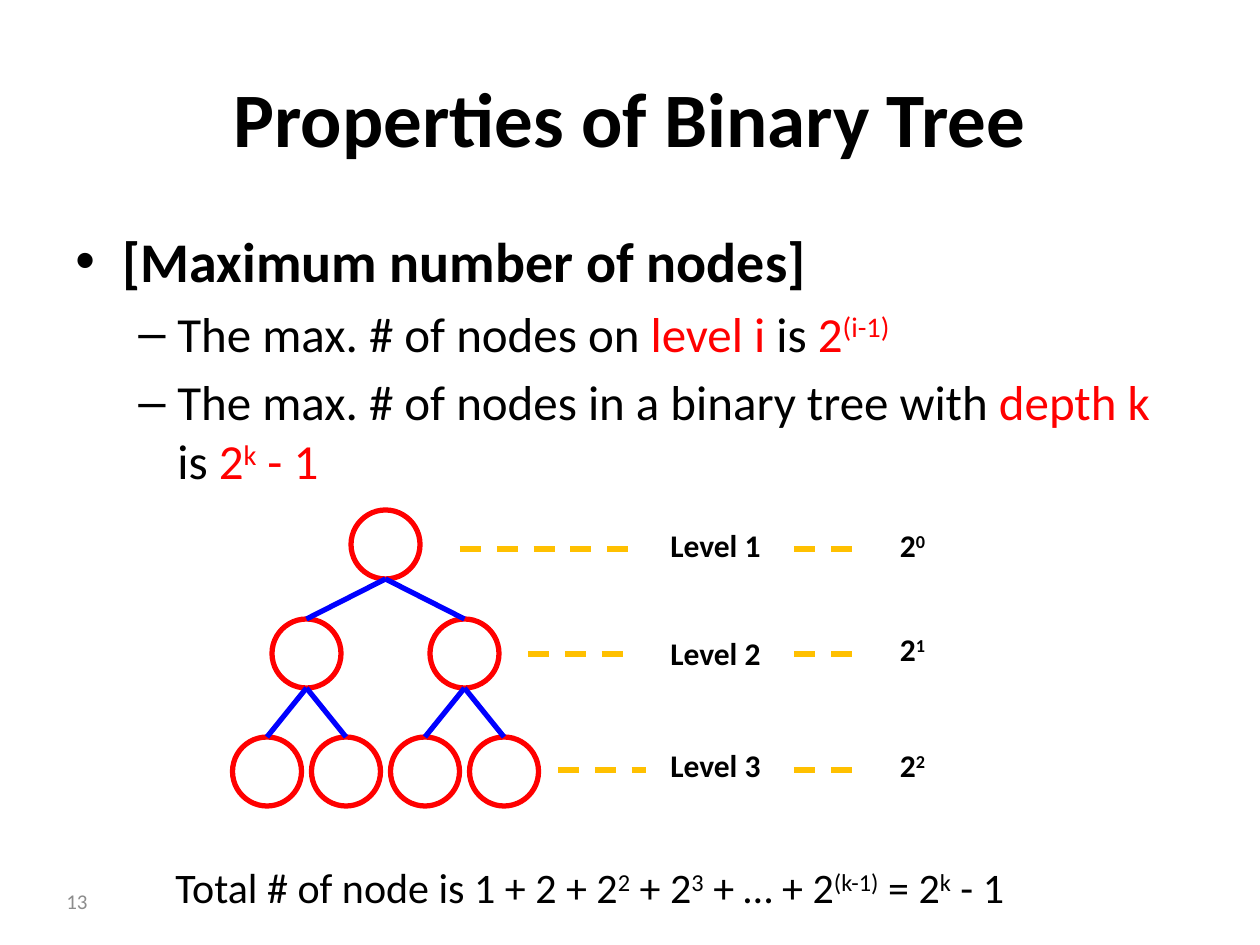
from dataclasses import dataclass

from lxml import etree
from pptx import Presentation
from pptx.dml.color import RGBColor
from pptx.enum.dml import MSO_LINE
from pptx.enum.shapes import MSO_CONNECTOR, MSO_SHAPE
from pptx.enum.text import MSO_ANCHOR, PP_ALIGN
from pptx.oxml.ns import qn
from pptx.util import Emu, Pt

LEFT, CENTER, RIGHT = PP_ALIGN.LEFT, PP_ALIGN.CENTER, PP_ALIGN.RIGHT
TOP, MIDDLE = MSO_ANCHOR.TOP, MSO_ANCHOR.MIDDLE
STRAIGHT, OVAL, DASH = MSO_CONNECTOR.STRAIGHT, MSO_SHAPE.OVAL, MSO_LINE.DASH
EMU_PER_PIXEL = 914400 / 126


@dataclass(frozen=True)
class Theme:
    font: str = "Calibri"
    ink: str = "000000"
    accent: str = "FF0000"
    edge: str = "0000FF"
    guide: str = "FFC000"
    muted: str = "8C8C8C"
    title: int = 44
    heading: int = 32
    bullet: int = 28
    total: int = 24
    label: int = 18
    number: int = 12
    stroke: int = 3


THEME = Theme()
NODE = 69
LEAF_CENTERS = [267, 346, 425, 504]
LEVEL_TOPS = [510, 619, 737]
GUIDES = [(460, 636, 549), (528, 636, 654), (558, 646, 770)]
LABEL_TOPS = [507, 615, 727]
POWER_TOPS = [507, 611, 727]

BULLETS = [
    (0, "\u2022", [("[Maximum number of nodes]", "bold")]),
    (1, "\u2013", [("The max. # of nodes on ", ""), ("level i", "red"), (" is ", ""),
                   ("2", "red"), ("(i-1)", "red super")]),
    (1, "\u2013", [("The max. # of nodes in a binary tree with ", ""),
                   ("depth k", "red"), (" is ", ""), ("2", "red"),
                   ("k", "red super"), (" - 1", "red")]),
]
TOTAL = [("Total # of node is 1 + 2 + 2", ""), ("2", "super"), (" + 2", ""),
         ("3", "super"), (" + \u2026 + 2", ""), ("(k-1)", "super"),
         (" = 2", ""), ("k", "super"), (" - 1", "")]


def px(value):
    return Emu(round(value * EMU_PER_PIXEL))


def color(value):
    return RGBColor.from_string(value)


def write(para, spans, size, ink=THEME.ink, align=LEFT):
    para.alignment = align
    for text, style in spans:
        span = para.add_run()
        span.text = text
        font = span.font
        font.name, font.size = THEME.font, Pt(size)
        font.bold = "bold" in style
        font.color.rgb = color(THEME.accent if "red" in style else ink)
        if "super" in style:
            font._element.set("baseline", "30000")


def add_text(page, area, spans, size, ink=THEME.ink, align=LEFT,
             anchor=TOP, wrap=True, inset=6):
    box = page.shapes.add_textbox(*map(px, area))
    frame = box.text_frame
    frame.word_wrap = wrap
    frame.vertical_anchor = anchor
    frame.margin_top = frame.margin_bottom = px(inset)
    write(frame.paragraphs[0], spans, size, ink, align)


def add_title(page, text):
    title = page.shapes.title
    title.left, title.top, title.width, title.height = map(px, (63, 38, 1134, 157))
    title.text_frame.vertical_anchor = MIDDLE
    write(title.text_frame.paragraphs[0], [(text, "bold")], THEME.title, align=CENTER)


def add_bullets(page):
    box = page.shapes.add_textbox(*map(px, (63, 220, 1134, 624)))
    frame = box.text_frame
    frame.word_wrap = True
    for index, (level, mark, spans) in enumerate(BULLETS):
        para = frame.add_paragraph() if index else frame.paragraphs[0]
        size = THEME.bullet if level else THEME.heading
        indent, hang = (102, 39) if level else (47, 47)
        para.level = level
        para.space_before = Pt(size * 0.2)
        write(para, spans, size)
        properties = para._p.get_or_add_pPr()
        properties.set("marL", str(px(indent)))
        properties.set("indent", str(px(-hang)))
        etree.SubElement(properties, qn("a:buFont"), typeface="Arial")
        etree.SubElement(properties, qn("a:buChar"), char=mark)


def add_line(page, start, end, ink, dash=None):
    line = page.shapes.add_connector(STRAIGHT, *map(px, (*start, *end)))
    line.line.color.rgb = color(ink)
    line.line.width = Pt(THEME.stroke)
    if dash:
        line.line.dash_style = dash
    etree.SubElement(line._element.spPr, qn("a:effectLst"))


def add_node(page, center, top):
    node = page.shapes.add_shape(OVAL, *map(px, (center - NODE / 2, top, NODE, NODE)))
    node.shadow.inherit = False
    node.fill.background()
    node.line.color.rgb = color(THEME.accent)
    node.line.width = Pt(THEME.stroke)


def add_tree(page):
    levels = [LEAF_CENTERS]
    while len(levels[0]) > 1:
        children = levels[0]
        levels.insert(0, [(a + b) / 2 for a, b in zip(children[::2], children[1::2])])
    for centers, top in zip(levels, LEVEL_TOPS):
        for center in centers:
            add_node(page, center, top)
    for depth in range(1, len(levels)):
        for index, child in enumerate(levels[depth]):
            parent = levels[depth - 1][index // 2]
            add_line(page, (parent, LEVEL_TOPS[depth - 1] + NODE),
                     (child, LEVEL_TOPS[depth]), THEME.edge)


def add_level_labels(page):
    rows = zip(GUIDES, LABEL_TOPS, POWER_TOPS)
    for power, ((start, end, y), label_top, power_top) in enumerate(rows):
        add_text(page, (607, label_top, 217, 83), [(f"Level {power + 1}", "bold")],
                 THEME.label, align=CENTER, inset=19)
        for left, right in ((start, end), (794, 853)):
            add_line(page, (left, y), (right, y), THEME.guide, DASH)
        add_text(page, (834, power_top, 157, 83),
                 [("2", "bold"), (str(power), "bold super")],
                 THEME.label, align=CENTER, inset=19)


def main():
    deck = Presentation()
    deck.slide_width, deck.slide_height = px(1260), px(945)
    page = deck.slides.add_slide(deck.slide_layouts[5])
    add_title(page, "Properties of Binary Tree")
    add_bullets(page)
    add_tree(page)
    add_level_labels(page)
    add_text(page, (163, 856, 874, 63), TOTAL, THEME.total, wrap=False)
    add_text(page, (0, 876, 100, 50), [("13", "")], THEME.number,
             THEME.muted, RIGHT, MIDDLE)
    deck.save("out.pptx")


main()
